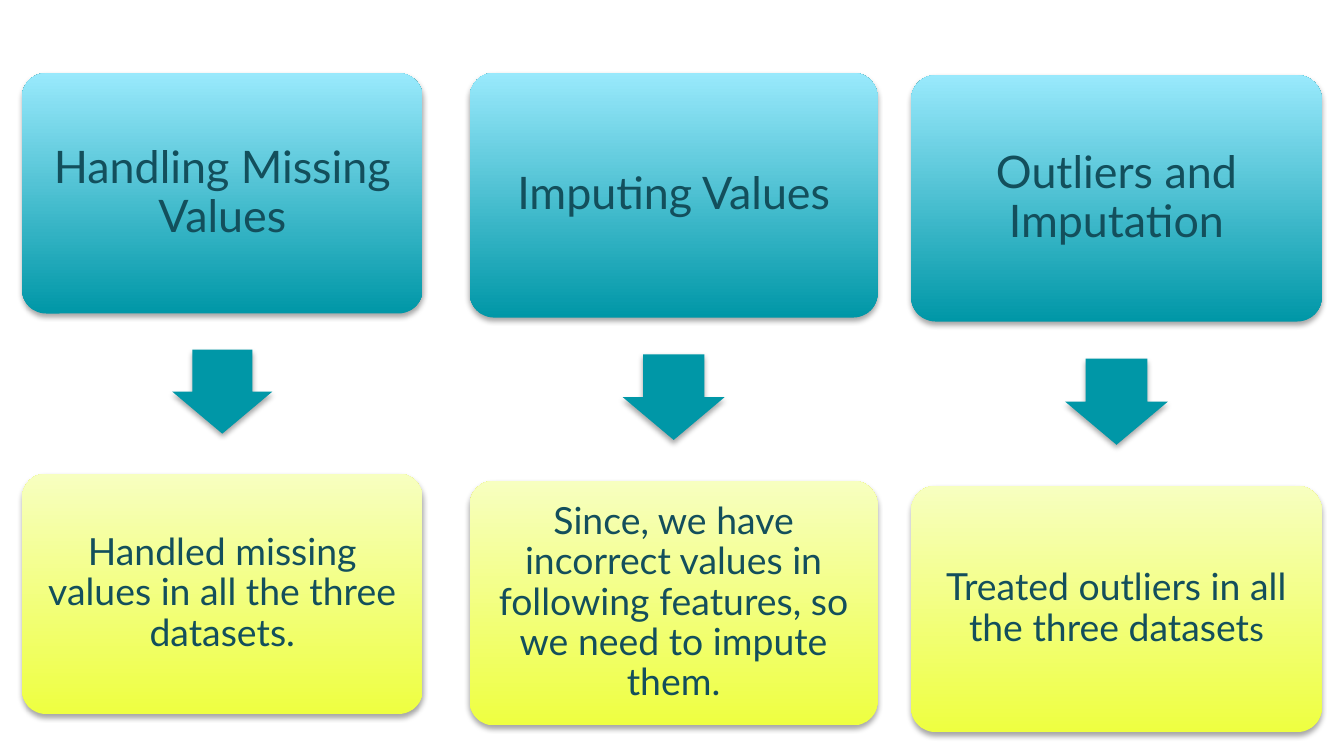
from lxml.etree import SubElement
from pptx import Presentation
from pptx.dml.color import RGBColor
from pptx.enum.shapes import MSO_SHAPE
from pptx.enum.text import MSO_ANCHOR, PP_ALIGN
from pptx.oxml.ns import qn
from pptx.util import Inches, Pt

COLORS = {
    "teal": "0097A7",
    "sky": "99E9FC",
    "yellow": "EEFF41",
    "cream": "F7FFC0",
    "ink": "134F5C",
    "shadow": "000000",
}
GRID = 100  # square grid units across the slide width

# left, top and width in grid units, then heading and detail as (text, size) spans
COLUMNS = [
    (1.64, 5.45, 29.8, [("Handling Missing Values", 24)],
     [("Handled missing values in all the three datasets.", 20)]),
    (34.95, 5.42, 30.35, [("Imputing Values", 24)],
     [("Since, we have incorrect values in following features, "
       "so we need to impute them.", 20)]),
    (67.8, 5.6, 30.55, [("Outliers and Imputation", 24)],
     [("Treated outliers in all the three dataset", 20), ("s", 18)]),
]


def color(name):
    return RGBColor.from_string(COLORS[name])


class FlowPage:
    """The current slide with the style of its cards and arrows."""

    font_name = "Lato"

    def __init__(self, deck):
        self.page = deck.slides.add_slide(deck.slide_layouts[6])
        self.unit = deck.slide_width / GRID

    def add_shape(self, kind, left, top, width, height, adjustments):
        box = self.page.shapes.add_shape(
            kind, *(round(n * self.unit) for n in (left, top, width, height)))
        for index, value in enumerate(adjustments):
            box.adjustments[index] = value
        box.line.fill.background()
        return box

    def add_shadow(self, box):
        """Add a soft drop shadow; call once the fill is set."""
        box.shadow.inherit = False
        effects = box.element.spPr.find(qn("a:effectLst"))
        shadow = SubElement(effects, qn("a:outerShdw"), blurRad=str(Pt(3.1)),
                            dist=str(Pt(1.8)), dir="5400000", rotWithShape="0")
        tint = SubElement(shadow, qn("a:srgbClr"), val=COLORS["shadow"])
        SubElement(tint, qn("a:alpha"), val="35000")

    def add_card(self, left, top, width, spans, bottom_color, top_color, margin):
        box = self.add_shape(MSO_SHAPE.ROUNDED_RECTANGLE,
                             left, top, width, 0.6 * width, [0.1])
        box.fill.gradient()
        box.fill.gradient_angle = 90
        for stop, name in zip(box.fill.gradient_stops, (bottom_color, top_color)):
            stop.color.rgb = color(name)
        self.add_shadow(box)

        frame = box.text_frame
        frame.word_wrap = True
        frame.vertical_anchor = MSO_ANCHOR.MIDDLE
        frame.margin_left = frame.margin_right = Inches(margin)
        frame.margin_top = frame.margin_bottom = Inches(margin)
        para = frame.paragraphs[0]
        para.alignment = PP_ALIGN.CENTER
        para.line_spacing = 0.9
        for text, size in spans:
            span = para.add_run()
            span.text = text
            span.font.name = self.font_name
            span.font.size = Pt(size)
            span.font.color.rgb = color("ink")

    def add_arrow(self, center_x, tip_y, length, breadth):
        """Add an arrow that points down to its tip."""
        arrow = self.add_shape(MSO_SHAPE.RIGHT_ARROW, center_x - length / 2,
                               tip_y - (length + breadth) / 2,
                               length, breadth, [0.6, 0.5])
        arrow.rotation = 90
        arrow.fill.solid()
        arrow.fill.fore_color.rgb = color("teal")
        self.add_shadow(arrow)

    def add_column(self, left, top, width, heading, detail):
        """Stack heading card, arrow and detail card, all scaled by the width."""
        self.add_card(left, top, width, heading, "teal", "sky", 0.1)
        self.add_arrow(left + width / 2, top + 0.9 * width,
                       0.21 * width, 0.25 * width)
        self.add_card(left, top + width, width, detail, "yellow", "cream", 0.08)


def main():
    deck = Presentation()
    deck.slide_width = Inches(10)
    deck.slide_height = deck.slide_width * 9 // 16
    flow = FlowPage(deck)
    for column in COLUMNS:
        flow.add_column(*column)
    deck.save("out.pptx")


if __name__ == "__main__":
    main()
